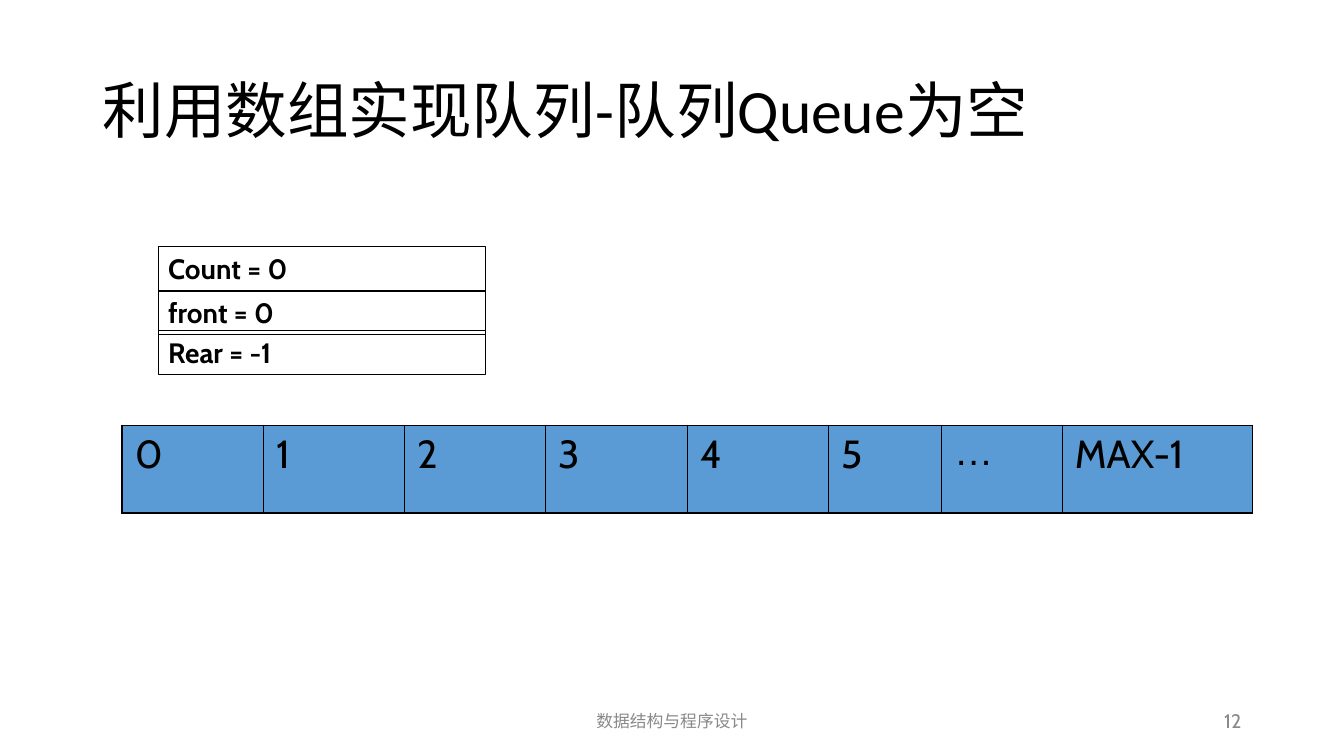
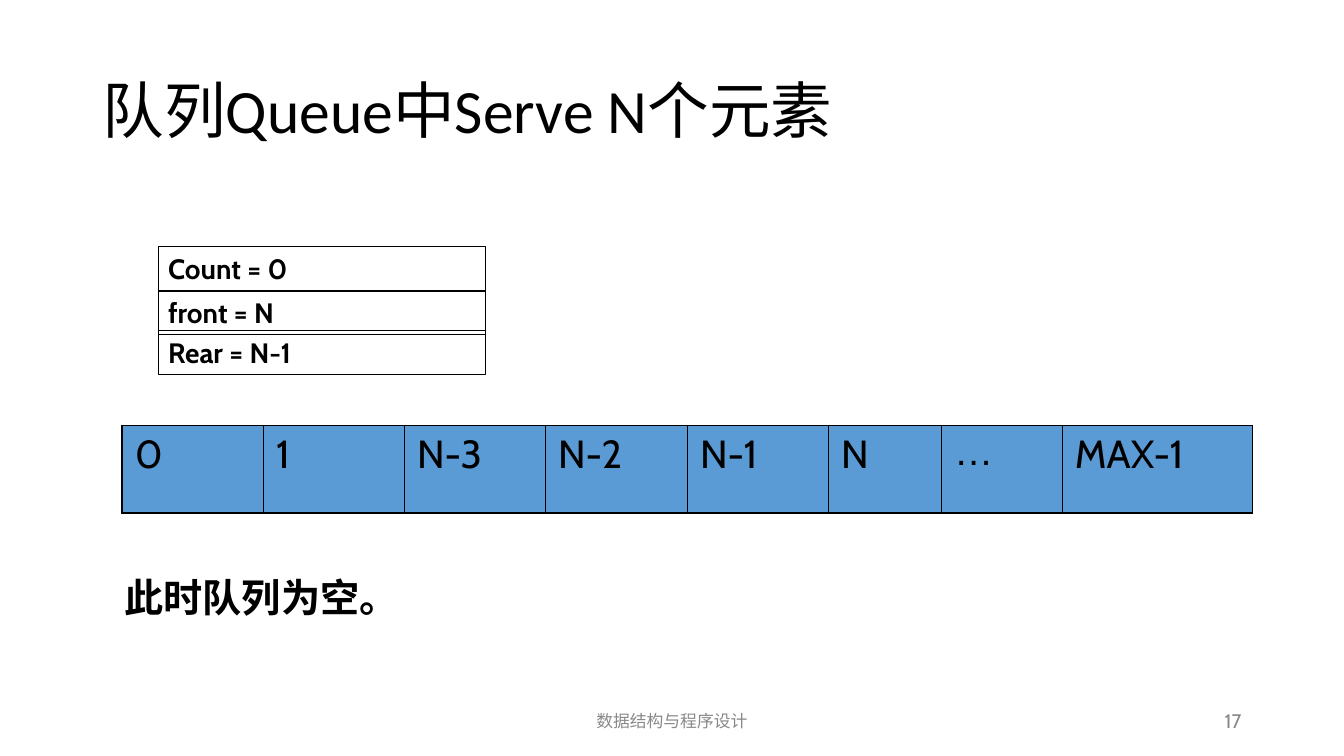
import pptx
import pptx.dml.color
import pptx.enum.shapes
import pptx.enum.text
import pptx.oxml
import pptx.oxml.ns
import pptx.util
from pptx.util import Inches

COLORS = {"text": "000000", "muted": "898989", "cell": "5B9BD5", "line": "000000"}
ALIGN = pptx.enum.text.PP_ALIGN
ANCHOR = pptx.enum.text.MSO_ANCHOR

TITLE = {"name": "Calibri", "size": pptx.util.Pt(44), "color": "text"}
VARIABLE = {"name": "Cabin", "size": pptx.util.Pt(20), "bold": True, "color": "text"}
CELL = {"name": "Cabin", "size": pptx.util.Pt(28), "color": "text"}
ELLIPSIS = {**CELL, "name": "Arial"}
REMARK = {**CELL, "bold": True}
FOOTER = {"name": "Cabin", "size": pptx.util.Pt(12), "color": "muted"}
NUMBER = {**FOOTER, "size": pptx.util.Pt(14)}

FOOTER_TEXT = "数据结构与程序设计"
VARIABLE_TOPS = [2.45, 2.88, 3.28]
COLUMN_WIDTHS = [1.4, 1.4, 1.4, 1.41, 1.4, 1.12, 1.2, 1.89]
INNER_LINE, OUTER_LINE = 0.45, 1.08

SLIDES = [
    {"title": "利用数组实现队列-队列Queue为空", "number": "12",
     "variables": ["Count = 0", "front = 0", "Rear = -1"],
     "cells": ["0", "1", "2", "3", "4", "5", "…", "MAX-1"]},
    {"title": "队列Queue中Serve N个元素", "number": "17",
     "variables": ["Count = 0", "front = N", "Rear = N-1"],
     "cells": ["0", "1", "N-3", "N-2", "N-1", "N", "…", "MAX-1"],
     "remark": " 此时队列为空。"},
]


def write(tf, text, style, align=ALIGN.LEFT, anchor=ANCHOR.TOP):
    tf.word_wrap = True
    tf.vertical_anchor = anchor
    p = tf.paragraphs[0]
    p.alignment = align
    r = p.add_run()
    r.text = text
    for key, value in style.items():
        if key == "color":
            r.font.color.rgb = pptx.dml.color.RGBColor.from_string(COLORS[value])
        else:
            setattr(r.font, key, value)
    return p


def add_border(cell, side, points):
    """Draw one cell side; call in the order L, R, T, B and before the fill."""
    cell._tc.get_or_add_tcPr().append(pptx.oxml.parse_xml(
        f'<a:ln{side} {pptx.oxml.ns.nsdecls("a")} w="{pptx.util.Pt(points)}">'
        f'<a:solidFill><a:srgbClr val="{COLORS["line"]}"/></a:solidFill></a:ln{side}>'))


prs = pptx.Presentation()
prs.slide_width, prs.slide_height = Inches(13.34), Inches(7.5)

for content in SLIDES:
    s = prs.slides.add_slide(prs.slide_layouts[6])

    # Footer, slide number and title
    sp = s.shapes.add_textbox(Inches(4.42), Inches(6.95), Inches(4.5), Inches(0.4))
    write(sp.text_frame, FOOTER_TEXT, FOOTER, ALIGN.CENTER, ANCHOR.MIDDLE)
    sp = s.shapes.add_textbox(Inches(9.42), Inches(6.95), Inches(3), Inches(0.4))
    write(sp.text_frame, content["number"], NUMBER, ALIGN.RIGHT, ANCHOR.MIDDLE)
    sp = s.shapes.add_textbox(Inches(0.92), Inches(0.4), Inches(11.5), Inches(1.45))
    p = write(sp.text_frame, content["title"], TITLE, anchor=ANCHOR.MIDDLE)
    p.line_spacing = 0.9

    # Queue variables
    for top, text in zip(VARIABLE_TOPS, content["variables"]):
        sp = s.shapes.add_shape(pptx.enum.shapes.MSO_SHAPE.RECTANGLE,
                                Inches(1.57), Inches(top), Inches(3.25), Inches(0.44))
        sp.shadow.inherit = False
        sp.fill.background()
        sp.line.color.rgb = pptx.dml.color.RGBColor.from_string(COLORS["line"])
        sp.line.width = pptx.util.Pt(0.75)
        write(sp.text_frame, text, VARIABLE)

    # Array that stores the queue
    last = len(COLUMN_WIDTHS) - 1
    table = s.shapes.add_table(1, last + 1, Inches(1.21), Inches(4.22),
                               Inches(sum(COLUMN_WIDTHS)), Inches(0.87)).table
    table.first_row = table.horz_banding = False
    for i, (width, text) in enumerate(zip(COLUMN_WIDTHS, content["cells"])):
        table.columns[i].width = Inches(width)
        cell = table.cell(0, i)
        cell.margin_left = cell.margin_right = Inches(0.13)
        cell.margin_top = cell.margin_bottom = Inches(0.05)
        add_border(cell, "L", OUTER_LINE if i == 0 else INNER_LINE)
        add_border(cell, "R", OUTER_LINE if i == last else INNER_LINE)
        add_border(cell, "T", OUTER_LINE)
        add_border(cell, "B", OUTER_LINE)
        cell.fill.solid()
        cell.fill.fore_color.rgb = pptx.dml.color.RGBColor.from_string(COLORS["cell"])
        write(cell.text_frame, text, ELLIPSIS if text == "…" else CELL)

    if "remark" in content:
        sp = s.shapes.add_textbox(Inches(1.05), Inches(5.64), Inches(9.35), Inches(0.57))
        write(sp.text_frame, content["remark"], REMARK)

prs.save("out.pptx")
